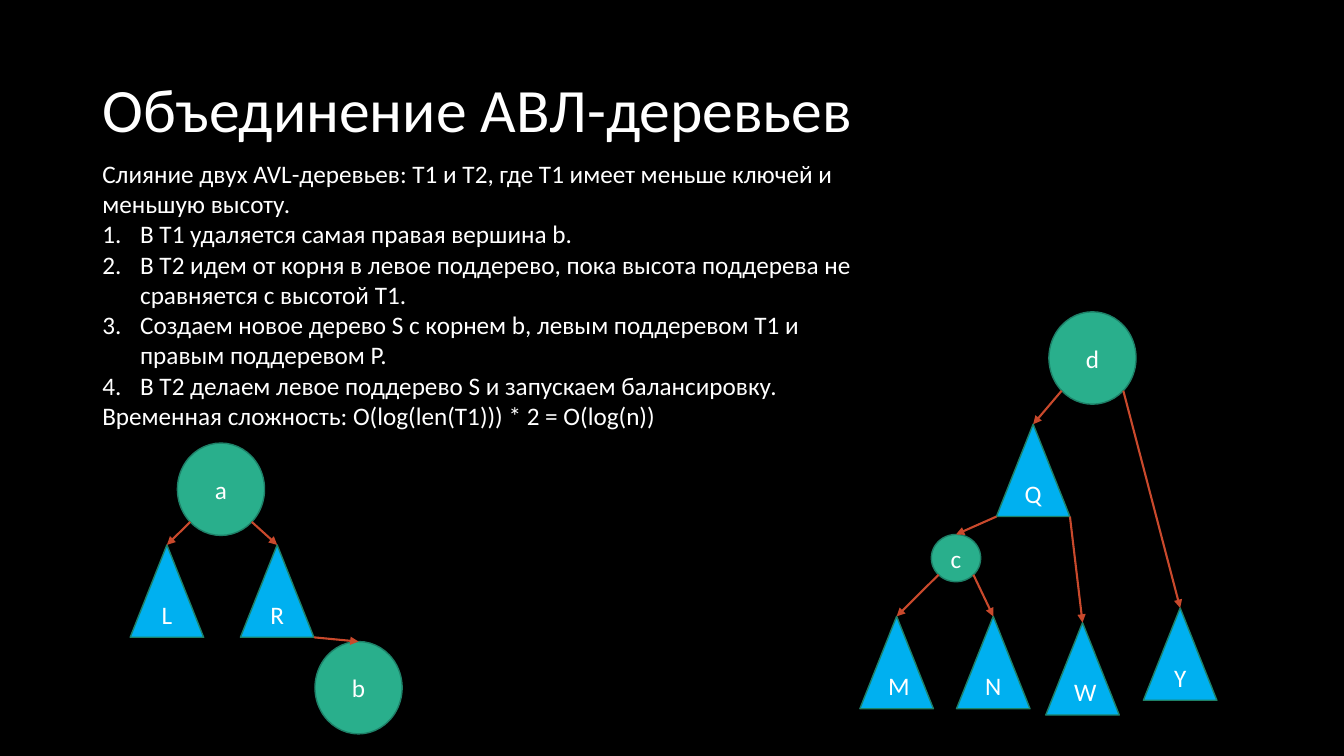
from dataclasses import dataclass
from math import sqrt

from lxml.etree import SubElement
from pptx import Presentation
from pptx.dml.color import RGBColor as Color
from pptx.enum.shapes import MSO_CONNECTOR as Connector, MSO_SHAPE as Shape
from pptx.enum.text import MSO_ANCHOR as Anchor, MSO_AUTO_SIZE as AutoSize, PP_ALIGN as Align
from pptx.oxml.ns import qn
from pptx.util import Emu, Pt

EMU_PER_PX = 9525


def px(value):
    return Emu(round(value * EMU_PER_PX))


@dataclass(frozen=True)
class Theme:
    background: Color = Color.from_string("000000")
    text: Color = Color.from_string("FFFFFF")
    vertex: Color = Color.from_string("29AF8C")
    subtree: Color = Color.from_string("00B0F0")
    outline: Color = Color.from_string("1E8168")
    arrow: Color = Color.from_string("C9492C")
    font: str = "Calibri"
    title_size: int = 44
    body_size: int = 18
    outline_width: float = 1
    arrow_width: float = 1.5


class TreeSlide:
    def __init__(self, deck, theme):
        self.theme = theme
        self.page = deck.slides.add_slide(deck.slide_layouts[5])
        self.page.background.fill.solid()
        self.page.background.fill.fore_color.rgb = theme.background

    def style(self, para, size, align=Align.LEFT):
        para.alignment = align
        para.font.name = self.theme.font
        para.font.size = Pt(size)
        para.font.color.rgb = self.theme.text

    def title(self, text, left, top, width, height):
        box = self.page.shapes.title
        box.left, box.top, box.width, box.height = map(px, (left, top, width, height))
        frame = box.text_frame
        frame.text = text
        frame.auto_size = AutoSize.NONE
        frame.vertical_anchor = Anchor.MIDDLE
        para = frame.paragraphs[0]
        para.line_spacing = 0.9
        self.style(para, self.theme.title_size)

    def body(self, intro, steps, closing, left, top, width, height):
        frame = self.page.shapes.add_textbox(*map(px, (left, top, width, height))).text_frame
        frame.word_wrap = True
        frame.text = "\n".join([intro, *steps, closing])
        for para in frame.paragraphs:
            self.style(para, self.theme.body_size)
        for para in frame.paragraphs[1:-1]:
            self.number(para)

    def number(self, para, indent=36):
        properties = para._p.get_or_add_pPr()
        properties.set("marL", str(px(indent)))
        properties.set("indent", str(-px(indent)))
        numbering = SubElement(properties, qn("a:buAutoNum"), type="arabicPeriod")
        properties.remove(numbering)
        properties.insert_element_before(numbering, "a:tabLst", "a:defRPr", "a:extLst")

    def node(self, kind, fill, label, left, top, width, height):
        shape = self.page.shapes.add_shape(kind, *map(px, (left, top, width, height)))
        shape.shadow.inherit = False
        shape.fill.solid()
        shape.fill.fore_color.rgb = fill
        shape.line.color.rgb = self.theme.outline
        shape.line.width = Pt(self.theme.outline_width)
        frame = shape.text_frame
        frame.text = label
        frame.vertical_anchor = Anchor.MIDDLE
        self.style(frame.paragraphs[0], self.theme.body_size, Align.CENTER)
        return shape

    def vertex(self, label, left, top, width=83, height=88):
        return self.node(Shape.OVAL, self.theme.vertex, label, left, top, width, height)

    def subtree(self, label, left, top):
        return self.node(Shape.ISOSCELES_TRIANGLE, self.theme.subtree, label, left, top, 70, 88)

    def arrow(self, parent, child, side):
        """Leave the parent's lower corner (side -1 left, 1 right) for the child's top."""
        reach = sqrt(0.5) if parent.auto_shape_type == Shape.OVAL else 1
        start_x = parent.left + parent.width * (1 + side * reach) / 2
        start_y = parent.top + parent.height * (1 + reach) / 2
        line = self.page.shapes.add_connector(
            Connector.STRAIGHT, Emu(round(start_x)), Emu(round(start_y)), child.left, child.top)
        line.end_connect(child, 0)
        line.line.color.rgb = self.theme.arrow
        line.line.width = Pt(self.theme.arrow_width)
        SubElement(line.line._get_or_add_ln(), qn("a:tailEnd"), type="triangle")
        SubElement(line._element.spPr, qn("a:effectLst"))


def main():
    deck = Presentation()
    deck.slide_width, deck.slide_height = px(1280), px(720)
    slide = TreeSlide(deck, Theme())

    # Title and algorithm
    slide.title("Объединение АВЛ-деревьев", 88, 38, 1104, 139)
    slide.body(
        "Слияние двух AVL-деревьев: T1 и T2, где T1 имеет меньше ключей и меньшую высоту.",
        ["В T1 удаляется самая правая вершина b.",
         "В T2 идем от корня в левое поддерево, пока высота поддерева не сравняется с высотой T1.",
         "Создаем новое дерево S с корнем b, левым поддеревом T1 и правым поддеревом P.",
         "В T2 делаем левое поддерево S и запускаем балансировку."],
        "Временная сложность: O(log(len(T1))) * 2 = O(log(n))",
        88, 146, 758, 272)

    # Vertices and subtrees of T1, then T2
    nodes = {
        "a": slide.vertex("a", 169, 422),
        "b": slide.vertex("b", 300, 611),
        "c": slide.vertex("c", 887, 509, 47, 45),
        "d": slide.vertex("d", 999, 297),
    }
    subtrees = [("L", 124, 519), ("R", 229, 519), ("Q", 949, 404), ("M", 819, 587),
                ("N", 911, 587), ("W", 996, 593), ("Y", 1089, 579)]
    for label, left, top in subtrees:
        nodes[label] = slide.subtree(label, left, top)

    # Arrows: parent with its left and right child
    for parent, *children in ("aLR", "R b", "dQY", "QcW", "cMN"):
        for side, child in zip((-1, 1), children):
            if child in nodes:
                slide.arrow(nodes[parent], nodes[child], side)

    deck.save("out.pptx")


if __name__ == "__main__":
    main()
